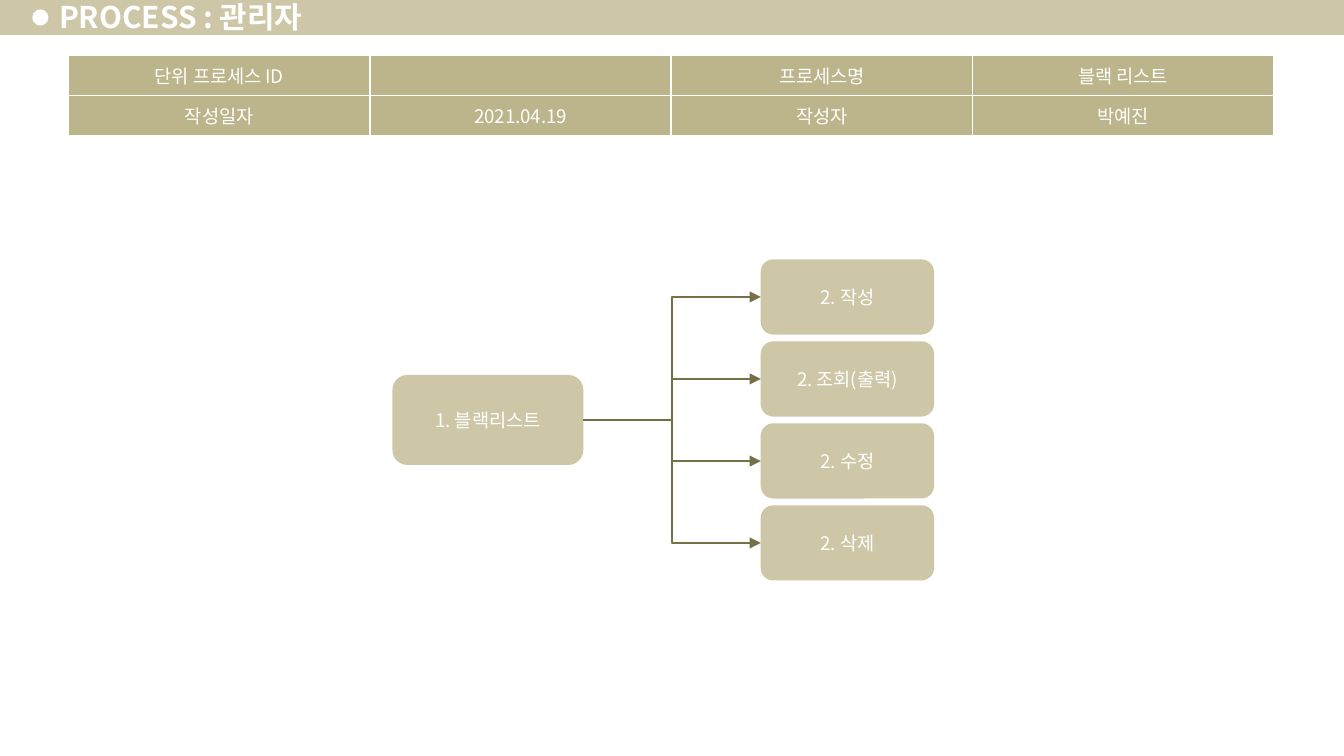
"""Build the administrator process slide: header table and block-list flow."""
from lxml import etree
from pptx import Presentation
from pptx import util as u
from pptx.dml.color import RGBColor
from pptx.enum import shapes, text
from pptx.oxml import ns

TITLE = "PROCESS : 관리자"
INFO = [
    ("단위 프로세스 ID", "", "프로세스명", "블랙 리스트"),
    ("작성일자", "2021.04.19", "작성자", "박예진"),
]
ROOT = "1. 블랙리스트"
STEPS = ["2. 작성", "2. 조회(출력)", "2. 수정", "2. 삭제"]

FONT = "Noto Sans CJK KR"
WHITE = RGBColor(0xFF, 0xFF, 0xFF)
SAND = RGBColor(0xCD, 0xC7, 0xA7)
KHAKI = RGBColor(0xBC, 0xB4, 0x8A)
OLIVE = RGBColor(0x77, 0x6F, 0x45)

WIDTH = 10
HEIGHT = WIDTH * 9 / 16
TABLE_LEFT, TABLE_TOP, TABLE_WIDTH, ROW_HEIGHT = 0.51, 0.41, 8.97, 0.28
ROOT_BOX = (2.92, 2.79, 1.42, 0.67)
STEP_LEFT, STEP_TOP, STEP_WIDTH, STEP_HEIGHT, STEP_PITCH = 5.66, 1.93, 1.29, 0.56, 0.61
LEFT_SITE, RIGHT_SITE = 1, 3


def inches(*lengths):
    return [u.Inches(n) for n in lengths]


def write(tf, words, size=10, bold=False, align=text.PP_ALIGN.CENTER):
    p = tf.paragraphs[0]
    p.alignment = align
    r = p.add_run()
    r.text = words
    r.font.size, r.font.bold = u.Pt(size), bold
    r.font.color.rgb = WHITE
    r.font.name = FONT
    etree.SubElement(r.font._element, ns.qn("a:ea"), typeface=FONT)


def add_block(s, kind, box, words=""):
    sp = s.shapes.add_shape(kind, *inches(*box))
    sp.shadow.inherit = False
    sp.fill.solid()
    sp.fill.fore_color.rgb = SAND
    sp.line.fill.background()
    if words:
        sp.text_frame.vertical_anchor = text.MSO_ANCHOR.MIDDLE
        write(sp.text_frame, words)
    return sp


def add_arrow(s, source, target):
    line = s.shapes.add_connector(shapes.MSO_CONNECTOR.ELBOW, 0, 0, 0, 0)
    line.begin_connect(source, RIGHT_SITE)
    line.end_connect(target, LEFT_SITE)
    line.line.color.rgb = OLIVE
    line.line.width = u.Pt(0.75)
    etree.SubElement(line.line._get_or_add_ln(), ns.qn("a:tailEnd"), type="triangle")
    etree.SubElement(line._element.spPr, ns.qn("a:effectLst"))


def format_cell(cell, words):
    cell.fill.solid()
    cell.fill.fore_color.rgb = KHAKI
    cell.vertical_anchor = text.MSO_ANCHOR.MIDDLE
    if words:
        write(cell.text_frame, words)
    else:
        p = cell.text_frame.paragraphs[0]
        etree.SubElement(p._p, ns.qn("a:endParaRPr"), sz="1000")
    tc_pr = cell._tc.get_or_add_tcPr()
    for i, side in enumerate(("lnL", "lnR", "lnT", "lnB")):
        ln = etree.Element(ns.qn("a:" + side), w=str(u.Pt(1)))
        fill = etree.SubElement(ln, ns.qn("a:solidFill"))
        etree.SubElement(fill, ns.qn("a:srgbClr"), val=str(WHITE))
        tc_pr.insert(i, ln)


def add_header(s):
    add_block(s, shapes.MSO_SHAPE.RECTANGLE, (0, -0.02, WIDTH, 0.28))
    dot = add_block(s, shapes.MSO_SHAPE.OVAL, (0.24, 0.07, 0.12, 0.12))
    dot.fill.fore_color.rgb = WHITE
    title = s.shapes.title
    title.left, title.top, title.width, title.height = inches(0.35, -0.04, 5.65, 0.32)
    tf = title.text_frame
    tf.auto_size = text.MSO_AUTO_SIZE.NONE
    tf.vertical_anchor = text.MSO_ANCHOR.MIDDLE
    tf.margin_left = tf.margin_right = u.Inches(0.09)
    tf.margin_top = tf.margin_bottom = u.Inches(0.04)
    write(tf, TITLE, 16, True, text.PP_ALIGN.LEFT)
    s.shapes._spTree.append(title._element)


def add_info_table(s):
    rows, cols = len(INFO), len(INFO[0])
    box = inches(TABLE_LEFT, TABLE_TOP, TABLE_WIDTH, rows * ROW_HEIGHT)
    table = s.shapes.add_table(rows, cols, *box).table
    for row, words in zip(table.rows, INFO):
        row.height = u.Inches(ROW_HEIGHT)
        for cell, word in zip(row.cells, words):
            format_cell(cell, word)


def add_flow(s):
    kind = shapes.MSO_SHAPE.ROUNDED_RECTANGLE
    root = add_block(s, kind, ROOT_BOX, ROOT)
    for i, words in enumerate(STEPS):
        box = (STEP_LEFT, STEP_TOP + i * STEP_PITCH, STEP_WIDTH, STEP_HEIGHT)
        add_arrow(s, root, add_block(s, kind, box, words))


prs = Presentation()
prs.slide_width, prs.slide_height = inches(WIDTH, HEIGHT)
s = prs.slides.add_slide(prs.slide_layouts[5])
add_header(s)
add_info_table(s)
add_flow(s)
prs.save("out.pptx")
